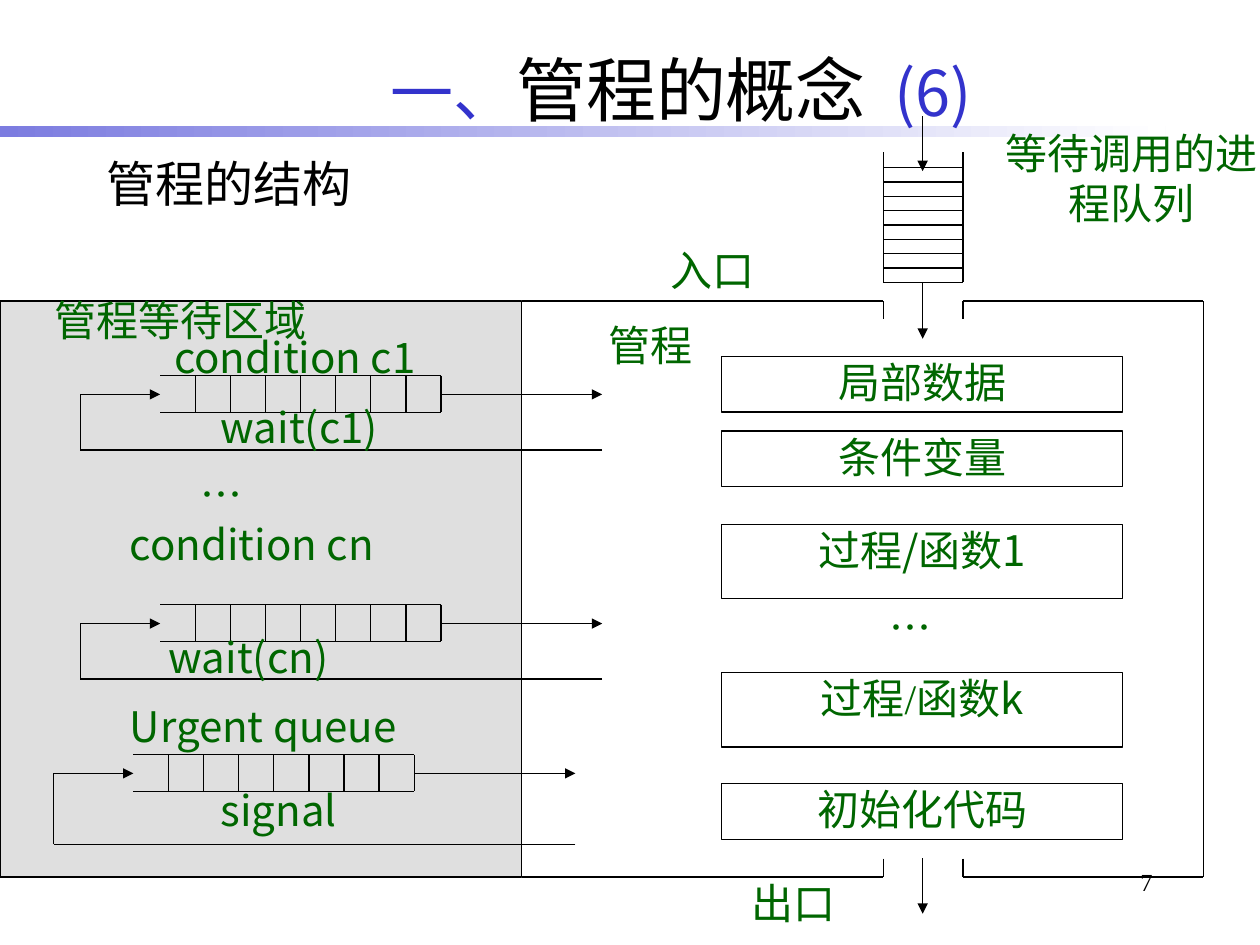
"""Build the slide on the structure of a monitor with its waiting queues."""
from lxml import etree
from pptx import Presentation
from pptx.dml.color import RGBColor
from pptx.enum.shapes import MSO_CONNECTOR, MSO_SHAPE
from pptx.enum.text import MSO_ANCHOR, MSO_AUTO_SIZE, PP_ALIGN
from pptx.oxml.ns import qn
from pptx.util import Cm, Pt

RECT, STRAIGHT = MSO_SHAPE.RECTANGLE, MSO_CONNECTOR.STRAIGHT
TOP, MIDDLE = MSO_ANCHOR.TOP, MSO_ANCHOR.MIDDLE
LEFT, CENTER, RIGHT, JUSTIFY = PP_ALIGN.LEFT, PP_ALIGN.CENTER, PP_ALIGN.RIGHT, PP_ALIGN.JUSTIFY
NO_FIT = MSO_AUTO_SIZE.NONE

THEME = {
    "black": RGBColor(0x00, 0x00, 0x00),
    "white": RGBColor(0xFF, 0xFF, 0xFF),
    "blue": RGBColor(0x33, 0x33, 0xCC),
    "green": RGBColor(0x00, 0x66, 0x00),
    "grey": RGBColor(0xC0, 0xC0, 0xC0),
    "bar": RGBColor(0x7C, 0x7C, 0xE0),
    "sans": "Noto Sans CJK SC",
    "serif": "Times New Roman",
    "title": Pt(40),
    "number": Pt(36),
    "heading": Pt(28),
    "label": Pt(24),
    "page": Pt(14),
    "line": Pt(0.75),
}
LABEL = ("label", "sans", "green")


def write(sp, runs, align, anchor=TOP, pad_x=0, pad_y=0):
    tf = sp.text_frame
    frame = {"word_wrap": True, "auto_size": NO_FIT, "vertical_anchor": anchor,
             "margin_left": Cm(pad_x), "margin_right": Cm(pad_x),
             "margin_top": Cm(pad_y), "margin_bottom": Cm(pad_y)}
    for name, value in frame.items():
        setattr(tf, name, value)
    p = tf.paragraphs[0]
    p.alignment = align
    for text, size, font, color in runs:
        r = p.add_run()
        r.text = text
        for name, value in {"size": THEME[size], "name": THEME[font]}.items():
            setattr(r.font, name, value)
        r.font.color.rgb = THEME[color]
        ea = etree.SubElement(r.font._element, qn("a:ea"))
        ea.set("typeface", THEME["sans"])


def line(x1, y1, x2, y2, arrow=False):
    cn = s.shapes.add_connector(STRAIGHT, Cm(x1), Cm(y1), Cm(x2), Cm(y2))
    cn.line.width = THEME["line"]
    cn.line.color.rgb = THEME["black"]
    if arrow:
        etree.SubElement(cn.line._get_or_add_ln(), qn("a:tailEnd")).set("type", "triangle")
    etree.SubElement(cn.element.spPr, qn("a:effectLst"))


prs = Presentation()
prs.slide_width, prs.slide_height = Cm(25.4), Cm(19.05)
s = prs.slides.add_slide(prs.slide_layouts[5])

title = s.shapes.title
box = {"left": Cm(2.54), "top": Cm(0.84), "width": Cm(22.66), "height": Cm(1.9)}
for name, value in box.items():
    setattr(title, name, value)
write(title, [("一、", "number", "serif", "blue"),
              ("管程的概念", "title", "serif", "black"),
              ("\t", "number", "serif", "blue"),
              ("(6) ", "number", "sans", "blue")], CENTER, MIDDLE, 0.25, 0.13)

bar = s.shapes.add_shape(RECT, 0, Cm(2.54), Cm(23.5), Cm(0.23))
bar.shadow.inherit = False
bar.line.fill.background()
bar.fill.gradient()
bar.fill.gradient_angle = 0
for stop, color, position in zip(bar.fill.gradient_stops, ("bar", "white"), (0, 1)):
    stop.color.rgb = THEME[color]
    stop.position = position
title.element.addprevious(bar.element)

frame_left, frame_right, frame_top, frame_bottom = 10.52, 24.26, 6.07, 17.68
frame_height = frame_bottom - frame_top
door_left, door_mid, door_right, jamb = 17.81, 18.6, 19.41, 0.37

rects = [
    (frame_left, frame_top, 14.55, frame_height, "white", "white", None),
    (0, frame_top, frame_left, frame_height, "grey", "black", None),
    (14.55, 7.19, 8.08, 1.12, "white", "black", [("局部数据", *LABEL)]),
    (14.55, 8.69, 8.08, 1.12, "white", "black", [("条件变量", *LABEL)]),
    (14.55, 10.57, 8.08, 1.5, "white", "black", [("过程/函数1", *LABEL)]),
    (14.55, 13.56, 8.08, 1.5, "white", "black",
     [("过程", *LABEL), ("/函数", "label", "serif", "green"), ("k", *LABEL)]),
    (14.55, 15.8, 8.08, 1.12, "white", "black", [("初始化代码", *LABEL)]),
]
for x, y, w, h, fill, edge, runs in rects:
    sp = s.shapes.add_shape(RECT, Cm(x), Cm(y), Cm(w), Cm(h))
    sp.shadow.inherit = False
    sp.fill.solid()
    sp.fill.fore_color.rgb = THEME[fill]
    sp.line.color.rgb = THEME[edge]
    sp.line.width = THEME["line"]
    if fill == "grey":
        color = sp.element.spPr.find(qn("a:solidFill")).find(qn("a:srgbClr"))
        etree.SubElement(color, qn("a:alpha")).set("val", "50000")
    if runs:
        write(sp, runs, CENTER)

cells, queue_width, queue_height = 8, 5.66, 0.74
for x, y, loop_bottom in [(3.23, 7.57, 9.07), (3.23, 12.19, 13.69), (2.69, 15.21, 17.02)]:
    end, mid, loop_x, exit_x = x + queue_width, y + 0.38, x - 1.61, x + 8.91
    for edge_y in (y, y + queue_height):
        line(x, edge_y, end, edge_y)
    for i in range(1, cells + 1):
        cell_x = x + i * queue_width / cells
        line(cell_x, y, cell_x, y + queue_height)
    line(exit_x, loop_bottom, loop_x, loop_bottom)
    line(loop_x, loop_bottom, loop_x, mid)
    line(loop_x, mid, x, mid, arrow=True)
    line(end, mid, exit_x, mid, arrow=True)

rungs, first_rung, queue_bottom = 9, 3.38, 5.69
for i in range(rungs):
    y = first_rung + i * (queue_bottom - first_rung) / (rungs - 1)
    line(door_left, y, door_right, y)
for x in (door_left, door_right):
    line(x, 3.07, x, queue_bottom)
    line(x, frame_top, x, frame_top + jamb)
    line(x, frame_bottom - jamb, x, frame_bottom)
for y in (frame_top, frame_bottom):
    line(frame_left, y, door_left, y)
    line(door_right, y, frame_right, y)
line(frame_right, frame_top, frame_right, frame_bottom)
for y1, y2 in [(2.34, 3.45), (queue_bottom, 6.83), (17.3, 18.42)]:
    line(door_mid, y1, door_mid, y2, arrow=True)

labels = [
    ("condition c1", 3.51, 6.68, 5.26, 1.09, JUSTIFY),
    ("wait(c1)", 4.45, 8.1, 3.43, 1.09, JUSTIFY),
    ("…", 4.04, 9.45, 4.11, 1.04, JUSTIFY),
    ("condition cn", 2.62, 10.46, 5.26, 1.09, JUSTIFY),
    ("wait(cn)", 3.4, 12.73, 3.61, 1.17, JUSTIFY),
    ("Urgent queue", 2.62, 14.12, 6.12, 1.24, JUSTIFY),
    ("signal", 4.45, 15.82, 2.57, 1.17, JUSTIFY),
    ("出口", 14.48, 17.68, 3.05, 0.97, CENTER),
    ("入口", 12.95, 4.93, 2.82, 1.22, CENTER),
    ("管程", 11.33, 6.45, 3.56, 0.79, CENTER),
    ("等待调用的进程队列", 20.22, 2.57, 5.18, 2.49, CENTER),
    ("管程等待区域", 0, 5.94, 7.29, 0.76, CENTER),
    ("…", 17.93, 12.12, 2.21, 1.3, JUSTIFY),
]
for text, x, y, w, h, align in labels:
    sp = s.shapes.add_textbox(Cm(x), Cm(y), Cm(w), Cm(h))
    write(sp, [(text, *LABEL)], align)

heading = s.shapes.add_textbox(Cm(1.9), Cm(2.97), Cm(6.2), Cm(1.45))
write(heading, [("管程的结构", "heading", "sans", "black")], LEFT, TOP, 0.25, 0.13)
page = s.shapes.add_textbox(Cm(18.21), Cm(17.35), Cm(5.28), Cm(1.27))
write(page, [("7", "page", "serif", "black")], RIGHT, TOP, 0.25, 0.13)

prs.save("out.pptx")
